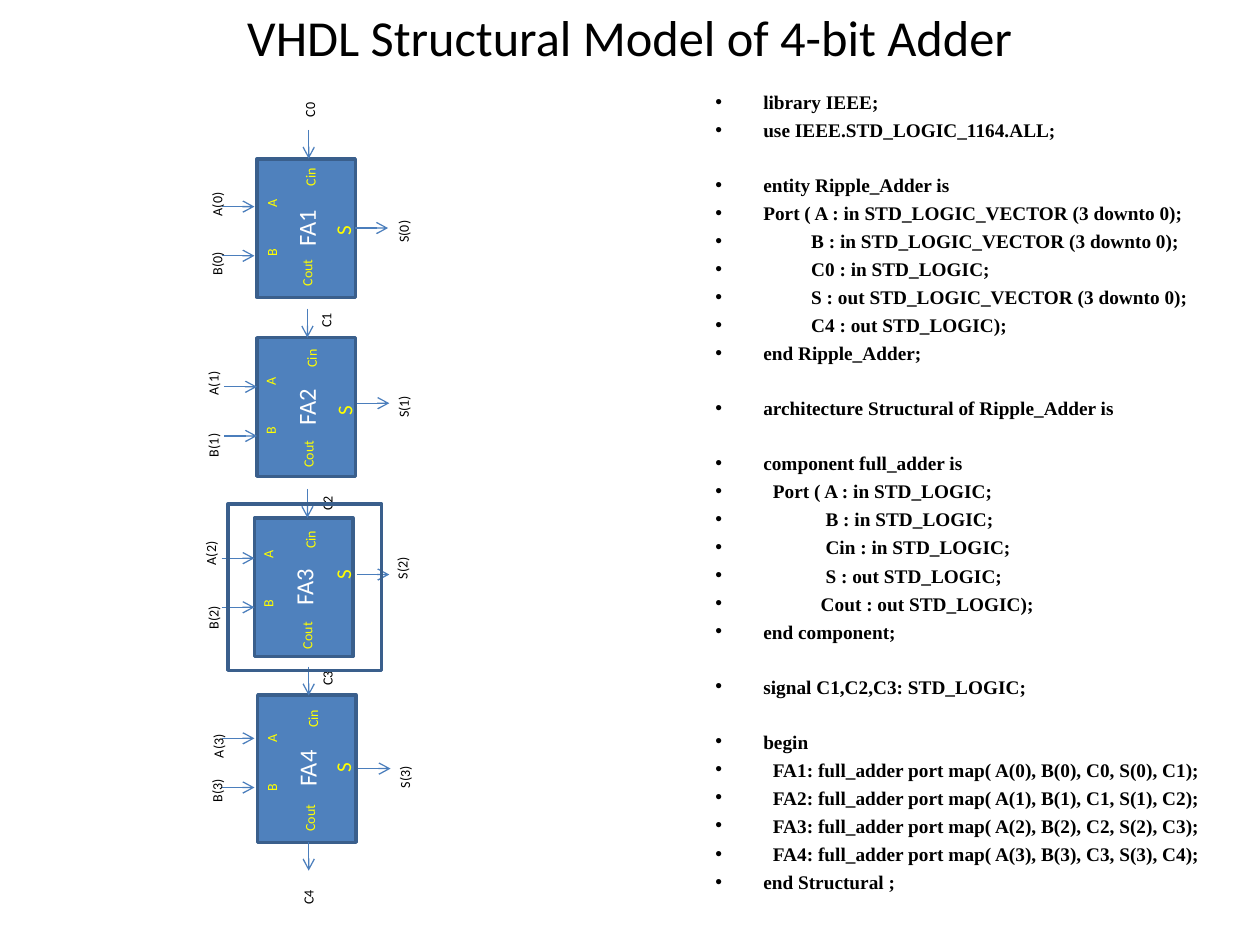
from dataclasses import dataclass
from typing import NamedTuple

from lxml.etree import SubElement
from pptx import Presentation
from pptx.dml.color import RGBColor
from pptx.enum.shapes import MSO_CONNECTOR as Conn, MSO_SHAPE as Shape
from pptx.enum.text import MSO_ANCHOR as Anchor, MSO_AUTO_SIZE as AutoSize, PP_ALIGN as Align
from pptx.oxml.ns import qn
from pptx.util import Inches, Pt

CELL = 0.1
COLS, ROWS = 100, 75
BLUE, EDGE, WIRE = "4F81BD", "3A5F8C", "4B7EBC"
BLACK, WHITE, YELLOW = "000000", "FFFFFF", "FFFF00"
PIN_GAP = 3.9
BLOCK_H = 7.8
SPACE = 0.38
HANG = 3.8
LINE_GAP, SECTION_GAP = 2.8, 18.2


class Pos(NamedTuple):
    x: float
    y: float


@dataclass
class Stage:
    block: Pos
    length: float
    wire_a: Pos
    wire_s: Pos
    wire_c: Pos
    a: Pos
    b: Pos
    s: Pos
    c: Pos
    pin_a: Pos
    pin_s: Pos
    pin_cin: Pos
    cout_drop: float = 7.75


class Code(NamedTuple):
    text: str
    spaces: int = 0
    section: bool = False


STAGES = [
    Stage(Pos(24.3, 18.1), 11, Pos(17.6, 16.4), Pos(28.2, 18.1), Pos(24.5, 10.3),
          Pos(17.25, 16), Pos(17.25, 20.7), Pos(32.05, 18.1), Pos(24.6, 8.5),
          Pos(21.6, 16.4), Pos(27.2, 18.6), Pos(24.65, 13.8)),
    Stage(Pos(24.3, 32.3), 11, Pos(17.8, 30.7), Pos(28.3, 32), Pos(24.4, 24.5),
          Pos(16.95, 30.2), Pos(16.95, 35.1), Pos(32.05, 32), Pos(25.9, 25.2),
          Pos(21.5, 30.5), Pos(27.3, 32.9), Pos(24.75, 28.2)),
    Stage(Pos(24.1, 46.6), 11, Pos(17.6, 44.3), Pos(28.3, 45.6), Pos(24.4, 38.8),
          Pos(16.75, 43.7), Pos(16.95, 48.8), Pos(31.95, 44.8), Pos(26, 39.7),
          Pos(21.3, 44.2), Pos(27.2, 45.9), Pos(24.65, 42.6)),
    Stage(Pos(24.35, 61), 11.7, Pos(17.6, 58.6), Pos(28.4, 61), Pos(24.5, 52.9),
          Pos(17.35, 59), Pos(17.25, 62.5), Pos(32.15, 61.4), Pos(26, 53.6),
          Pos(21.6, 58.8), Pos(27.2, 61.2), Pos(24.85, 56.8), 8.05),
]

CODE = [
    Code("library IEEE;"),
    Code("use IEEE.STD_LOGIC_1164.ALL;"),
    Code("entity Ripple_Adder is", section=True),
    Code("Port ( A : in STD_LOGIC_VECTOR (3 downto 0);"),
    Code("B : in STD_LOGIC_VECTOR (3 downto 0);", 10),
    Code("C0 : in STD_LOGIC;", 10),
    Code("S : out STD_LOGIC_VECTOR (3 downto 0);", 10),
    Code("C4 : out STD_LOGIC);", 10),
    Code("end Ripple_Adder;"),
    Code("architecture Structural of Ripple_Adder is", section=True),
    Code("component full_adder is", section=True),
    Code("Port ( A : in STD_LOGIC;", 2),
    Code("B : in STD_LOGIC;", 13),
    Code("Cin : in STD_LOGIC;", 13),
    Code("S : out STD_LOGIC;", 13),
    Code("Cout : out STD_LOGIC);", 12),
    Code("end component;"),
    Code("signal C1,C2,C3: STD_LOGIC;", section=True),
    Code("begin", section=True),
    *[Code(f"FA{i + 1}: full_adder port map( A({i}), B({i}), C{i}, S({i}), C{i + 1});", 2)
      for i in range(len(STAGES))],
    Code("end Structural ;"),
]


def grid(n: float) -> int:
    return Inches(n * CELL)


def rgb(color: str) -> RGBColor:
    return RGBColor.from_string(color)


def write(p, text: str, size=8, color=BLACK, font="Calibri", bold=False,
          align=Align.LEFT, before=0) -> None:
    p.alignment = align
    p.space_before = Pt(before)
    r = p.add_run()
    r.text = text
    r.font.size = Pt(size)
    r.font.name = font
    r.font.bold = bold
    r.font.color.rgb = rgb(color)


def textbox(s, x: float, y: float, w: float, h: float):
    sp = s.shapes.add_textbox(grid(x), grid(y), grid(w), grid(h))
    sp.text_frame.word_wrap = True
    return sp


def label(s, text: str, pos: Pos, w: float, h=2.4, **fmt) -> None:
    sp = textbox(s, pos.x - w / 2, pos.y - h / 2, w, h)
    sp.rotation = 270
    sp.text_frame.auto_size = AutoSize.SHAPE_TO_FIT_TEXT
    write(sp.text_frame.paragraphs[0], text, **fmt)


def box(s, x: float, y: float, w: float, h: float, fill=None):
    sp = s.shapes.add_shape(Shape.RECTANGLE, grid(x), grid(y), grid(w), grid(h))
    sp.shadow.inherit = False
    if fill:
        sp.fill.solid()
        sp.fill.fore_color.rgb = rgb(fill)
    else:
        sp.fill.background()
    sp.line.color.rgb = rgb(EDGE)
    sp.line.width = Pt(2)
    return sp


def arrow(s, start: Pos, dx=0.0, dy=0.0) -> None:
    cn = s.shapes.add_connector(Conn.STRAIGHT, grid(start.x), grid(start.y),
                                grid(start.x + dx), grid(start.y + dy))
    cn.line.color.rgb = rgb(WIRE)
    cn.line.width = Pt(0.75)
    SubElement(cn.line._get_or_add_ln(), qn("a:tailEnd"), type="arrow")
    SubElement(cn._element.spPr, qn("a:effectLst"))


def draw_stage(s, i: int, st: Stage) -> None:
    sp = box(s, st.block.x - st.length / 2, st.block.y - BLOCK_H / 2, st.length, BLOCK_H, BLUE)
    sp.rotation = 270
    sp.text_frame.vertical_anchor = Anchor.MIDDLE
    write(sp.text_frame.paragraphs[0], f"FA{i + 1}", size=14, color=WHITE, align=Align.CENTER)

    for start in (st.wire_a, Pos(st.wire_a.x, st.wire_a.y + PIN_GAP), st.wire_s):
        arrow(s, start, dx=2.6)
    arrow(s, st.wire_c, dy=2.3)

    for name, pos in (("A", st.a), ("B", st.b), ("S", st.s)):
        label(s, f"{name}({i})", pos, 4.3)
    label(s, f"C{i}", st.c, 3.6)

    label(s, "A", st.pin_a, 1.8, color=YELLOW)
    label(s, "B", Pos(st.pin_a.x, st.pin_a.y + PIN_GAP), 1.8, color=YELLOW)
    label(s, "S", st.pin_s, 1.8, 3, size=12, color=YELLOW)
    label(s, "Cin", st.pin_cin, 3.9, color=YELLOW)
    label(s, "Cout", Pos(st.pin_cin.x + 0.4, st.pin_cin.y + st.cout_drop), 4.3, 3.7,
          color=YELLOW)


def draw_code(s) -> None:
    tf = textbox(s, 55.8, 6.7, 41.7, 65).text_frame
    for n, line in enumerate(CODE):
        p = tf.add_paragraph() if n else tf.paragraphs[0]
        write(p, line.text, size=11, font="Times New Roman", bold=True, align=Align.JUSTIFY,
              before=SECTION_GAP if line.section else LINE_GAP)
        pPr = p._p.get_or_add_pPr()
        indent = grid(HANG + line.spaces * SPACE)
        pPr.set("marL", str(indent))
        pPr.set("indent", str(-indent))
        SubElement(pPr, qn("a:buFont"), typeface="Arial")
        SubElement(pPr, qn("a:buChar"), char="•")


def main() -> None:
    prs = Presentation()
    prs.slide_width, prs.slide_height = grid(COLS), grid(ROWS)
    s = prs.slides.add_slide(prs.slide_layouts[6])

    title = textbox(s, 5, 0, 90, 5.8).text_frame
    title.vertical_anchor = Anchor.MIDDLE
    write(title.paragraphs[0], "VHDL Structural Model of 4-bit Adder", size=28.8,
          align=Align.CENTER)

    draw_code(s)
    for i, st in enumerate(STAGES):
        draw_stage(s, i, st)
    arrow(s, Pos(24.5, 66.8), dy=2.3)
    label(s, "C4", Pos(24.5, 71), 3.6)
    box(s, 18.1, 40, 12.2, 13.2)

    prs.save("out.pptx")


if __name__ == "__main__":
    main()
